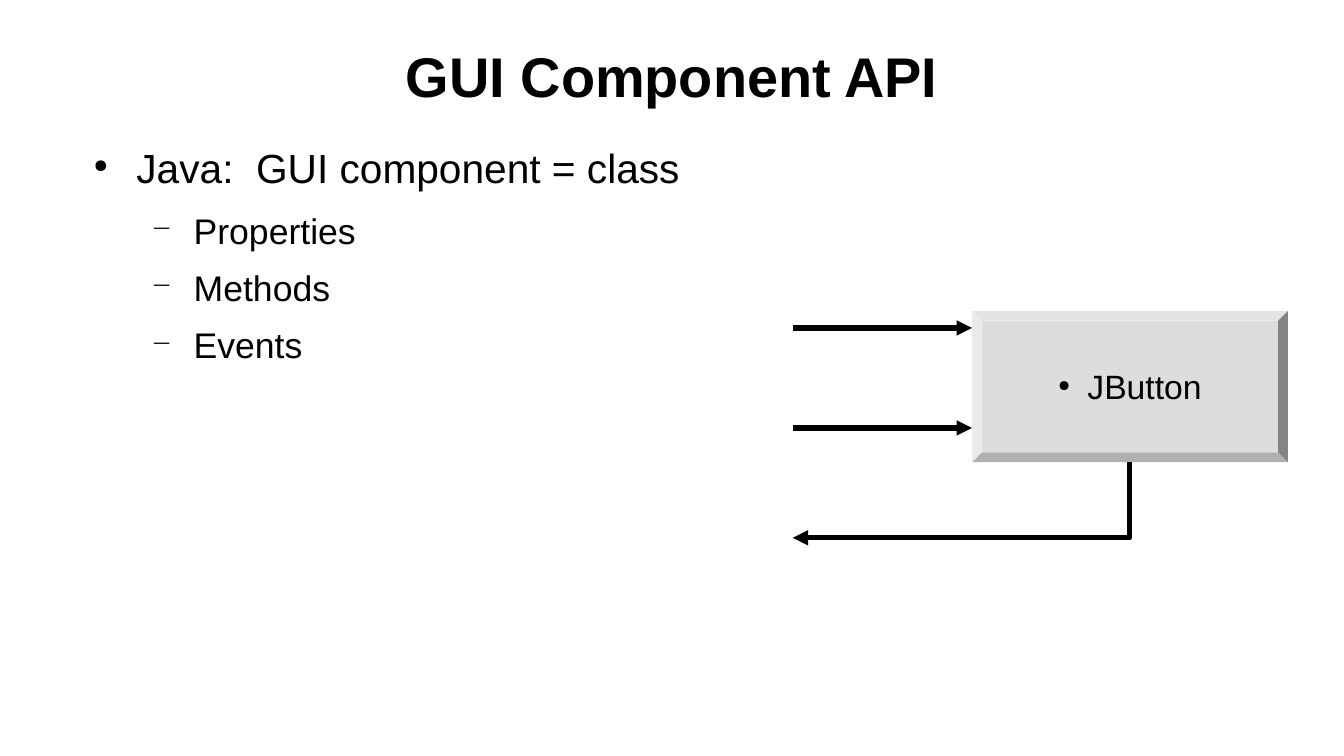
from dataclasses import dataclass

import pptx
import pptx.dml.color
import pptx.enum.shapes
import pptx.enum.text
import pptx.oxml.ns
import pptx.util
from lxml import etree

Pt = pptx.util.Pt
Align = pptx.enum.text.PP_ALIGN
Anchor = pptx.enum.text.MSO_ANCHOR

FONT = "Arial"
COLORS = {"ink": "000000", "button": "DDDDDD"}
LINE_WIDTH = 3
BEVEL = 5.76


@dataclass(frozen=True)
class Box:
    left: float
    top: float
    width: float
    height: float

    def lengths(self) -> list:
        return [Pt(v) for v in (self.left, self.top, self.width, self.height)]


@dataclass(frozen=True)
class Bullet:
    char: str
    percent: int
    margin: float
    hanging: float


@dataclass(frozen=True)
class Line:
    text: str
    size: float
    bullet: Bullet | None = None
    level: int = 0
    after: float = 0
    align: Align = Align.LEFT
    bold: bool = False


DOT = Bullet("●", 45, 33.84, 25.2)
DASH = Bullet("−", 75, 67.68, 25.2)
BUTTON_DOT = Bullet("●", 45, 17.28, 17.28)

TITLE_BOX = Box(39.6, 18, 714.24, 52.56)
BODY_BOX = Box(39.6, 80.64, 698.4, 345.6)
BUTTON_BOX = Box(573.84, 183.6, 186.48, 89.28)

TITLE = [Line("GUI Component API", 33, align=Align.CENTER, bold=True)]
BODY = [Line("Java:  GUI component = class", 24, DOT, after=10.6)] + [
    Line(part, 21, DASH, level=1, after=8.5)
    for part in ("Properties", "Methods", "Events")
]
BUTTON_LABEL = [Line("JButton", 19.9, BUTTON_DOT, align=Align.CENTER)]

ARROW_LEFT = 468
INPUT_LEVELS = (193.68, 252.72)
EVENT_LEVEL = 317.52


def rgb(name: str) -> pptx.dml.color.RGBColor:
    return pptx.dml.color.RGBColor.from_string(COLORS[name])


def add_child(parent, tag: str, **attributes: str):
    return etree.SubElement(parent, pptx.oxml.ns.qn(tag), attributes)


def add_bullet(paragraph, bullet: Bullet) -> None:
    properties = paragraph._p.get_or_add_pPr()
    properties.set("marL", str(Pt(bullet.margin)))
    properties.set("indent", str(-Pt(bullet.hanging)))
    color = add_child(properties, "a:buClr")
    add_child(color, "a:srgbClr", val=COLORS["ink"])
    add_child(properties, "a:buSzPct", val=str(bullet.percent * 1000))
    add_child(properties, "a:buChar", char=bullet.char)


def write_lines(frame, lines: list[Line], anchor: Anchor, wrap: bool = True) -> None:
    frame.word_wrap = wrap
    frame.vertical_anchor = anchor
    for index, line in enumerate(lines):
        paragraph = frame.add_paragraph() if index else frame.paragraphs[0]
        if line.bullet:
            add_bullet(paragraph, line.bullet)
        paragraph.level = line.level
        paragraph.alignment = line.align
        paragraph.space_after = Pt(line.after)
        run = paragraph.add_run()
        run.text = line.text
        run.font.name = FONT
        run.font.size = Pt(line.size)
        run.font.bold = line.bold
        run.font.color.rgb = rgb("ink")


def add_text(slide, box: Box, lines: list[Line], anchor: Anchor) -> None:
    write_lines(slide.shapes.add_textbox(*box.lengths()).text_frame, lines, anchor)


def add_button(slide, box: Box, label: list[Line]) -> None:
    button = slide.shapes.add_shape(
        pptx.enum.shapes.MSO_SHAPE.BEVEL, *box.lengths())
    button.adjustments[0] = BEVEL / box.height
    button.shadow.inherit = False
    button.fill.solid()
    button.fill.fore_color.rgb = rgb("button")
    button.line.fill.background()
    write_lines(button.text_frame, label, Anchor.MIDDLE, wrap=False)


def style_arrow(line) -> None:
    """Colour a line and put an arrowhead at its end."""
    line.color.rgb = rgb("ink")
    line.width = Pt(LINE_WIDTH)
    add_child(line._get_or_add_ln(), "a:tailEnd", type="triangle")


def add_input_arrow(slide, level: float) -> None:
    arrow = slide.shapes.add_connector(
        pptx.enum.shapes.MSO_CONNECTOR.STRAIGHT,
        Pt(ARROW_LEFT), Pt(level), Pt(BUTTON_BOX.left), Pt(level))
    style_arrow(arrow.line)
    add_child(arrow._element.spPr, "a:effectLst")


def add_event_arrow(slide) -> None:
    """Lead from the bottom of the button down and to the left."""
    middle = Pt(BUTTON_BOX.left + BUTTON_BOX.width / 2)
    bottom = Pt(BUTTON_BOX.top + BUTTON_BOX.height)
    builder = slide.shapes.build_freeform(middle, bottom)
    builder.add_line_segments(
        [(middle, Pt(EVENT_LEVEL)), (Pt(ARROW_LEFT), Pt(EVENT_LEVEL))], close=False)
    arrow = builder.convert_to_shape()
    arrow.shadow.inherit = False
    arrow.fill.background()
    style_arrow(arrow.line)


def main() -> None:
    deck = pptx.Presentation()
    deck.slide_width, deck.slide_height = Pt(793.44), Pt(446.4)
    slide = deck.slides.add_slide(deck.slide_layouts[6])
    add_text(slide, TITLE_BOX, TITLE, Anchor.MIDDLE)
    add_text(slide, BODY_BOX, BODY, Anchor.TOP)
    add_button(slide, BUTTON_BOX, BUTTON_LABEL)
    for level in INPUT_LEVELS:
        add_input_arrow(slide, level)
    add_event_arrow(slide)
    deck.save("out.pptx")


if __name__ == "__main__":
    main()
